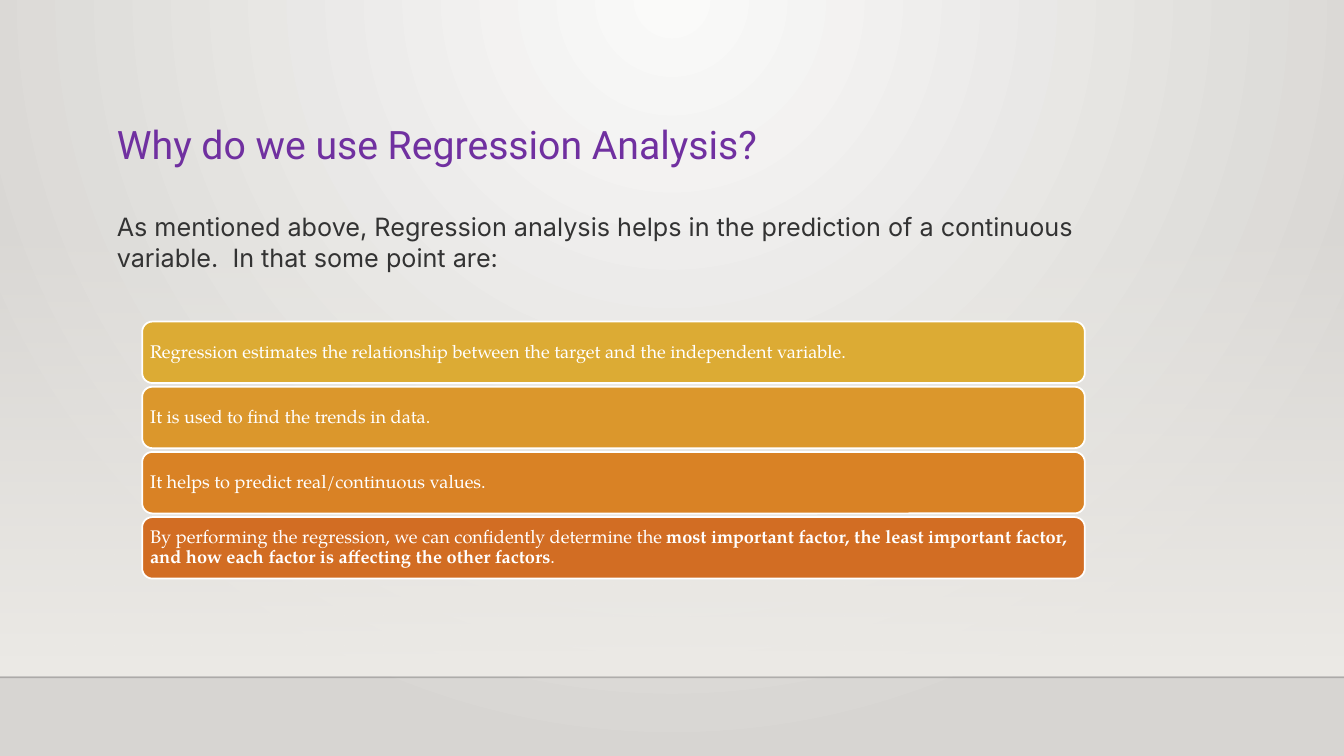
from dataclasses import dataclass

from lxml.etree import SubElement
from pptx import Presentation
from pptx.dml.color import RGBColor
from pptx.enum.shapes import MSO_CONNECTOR, MSO_SHAPE
from pptx.enum.text import MSO_ANCHOR, MSO_AUTO_SIZE, PP_ALIGN
from pptx.oxml.ns import qn
from pptx.util import Inches, Pt


@dataclass(frozen=True)
class Theme:
    title_font: str = "Roboto"
    intro_font: str = "Inter"
    reason_font: str = "TeX Gyre Pagella"
    title_size: int = 28
    intro_size: int = 18
    reason_size: int = 13
    title_color: str = "7030A0"
    intro_color: str = "333333"
    white: str = "FFFFFF"
    glow: tuple = ("FAFAF9", "D7D5D2")
    wash: str = "EDEBE7"
    floor_line: str = "000001"
    reason_fills: tuple = ("DCAB34", "DB972C", "D98225", "D26D23")


class SlideBuilder:
    def __init__(self, slide, theme):
        self.slide = slide
        self.theme = theme

    def gradient(self, fill, colors):
        fill.gradient()
        for stop, color in zip(fill.gradient_stops, colors):
            stop.color.rgb = RGBColor.from_string(color)

    def set_alpha(self, element, percent):
        color = element.find(".//" + qn("a:srgbClr"))
        SubElement(color, qn("a:alpha")).set("val", str(percent * 1000))

    def backdrop(self):
        self.gradient(self.slide.background.fill, self.theme.glow)
        glow = self.slide.element.find(".//" + qn("a:gradFill"))
        glow.remove(glow.find(qn("a:lin")))
        circle = SubElement(glow, qn("a:path"))
        circle.set("path", "circle")
        center = SubElement(circle, qn("a:fillToRect"))
        for side, percent in zip("ltrb", (43, 0, 43, 100)):
            center.set(side, str(percent * 1000))

    def wash(self, left, top, width, height):
        wash = self.slide.shapes.add_shape(
            MSO_SHAPE.RECTANGLE, Inches(left), Inches(top), Inches(width), Inches(height))
        wash.shadow.inherit = False
        self.gradient(wash.fill, (self.theme.wash, self.theme.wash))
        wash.fill.gradient_angle = 270
        self.set_alpha(wash.element.spPr, 0)
        wash.line.fill.background()

    def floor_line(self, top, width):
        floor = self.slide.shapes.add_connector(
            MSO_CONNECTOR.STRAIGHT, 0, Inches(top), Inches(width), Inches(top))
        floor.line.width = Pt(1)
        floor.line.color.rgb = RGBColor.from_string(self.theme.floor_line)
        self.set_alpha(floor.element.spPr, 20)
        SubElement(floor.element.spPr, qn("a:effectLst"))

    def add_runs(self, frame, runs, font, size, color, align=PP_ALIGN.LEFT):
        frame.word_wrap = True
        paragraph = frame.paragraphs[0]
        paragraph.alignment = align
        for words, bold in runs:
            run = paragraph.add_run()
            run.text = words
            run.font.name = font
            run.font.size = Pt(size)
            run.font.bold = bold
            run.font.color.rgb = RGBColor.from_string(color)
        return paragraph

    def title(self, words, left, top, width, height):
        title = self.slide.shapes.title
        title.left, title.top = Inches(left), Inches(top)
        title.width, title.height = Inches(width), Inches(height)
        title.text_frame.vertical_anchor = MSO_ANCHOR.TOP
        title.text_frame.auto_size = MSO_AUTO_SIZE.SHAPE_TO_FIT_TEXT
        self.add_runs(title.text_frame, [(words, False)], self.theme.title_font,
                      self.theme.title_size, self.theme.title_color, PP_ALIGN.JUSTIFY)

    def intro(self, words, left, top, width, height):
        intro = self.slide.shapes.add_textbox(
            Inches(left), Inches(top), Inches(width), Inches(height))
        intro.text_frame.auto_size = MSO_AUTO_SIZE.SHAPE_TO_FIT_TEXT
        self.add_runs(intro.text_frame, [(words, False)], self.theme.intro_font,
                      self.theme.intro_size, self.theme.intro_color)

    def reason(self, runs, fill, left, top, width, height):
        reason = self.slide.shapes.add_shape(
            MSO_SHAPE.ROUNDED_RECTANGLE,
            Inches(left), Inches(top), Inches(width), Inches(height))
        reason.shadow.inherit = False
        reason.fill.solid()
        reason.fill.fore_color.rgb = RGBColor.from_string(fill)
        reason.line.color.rgb = RGBColor.from_string(self.theme.white)
        reason.line.width = Pt(1.25)
        frame = reason.text_frame
        frame.vertical_anchor = MSO_ANCHOR.MIDDLE
        frame.margin_left = frame.margin_right = Inches(0.05)
        frame.margin_top = frame.margin_bottom = Inches(0.05)
        paragraph = self.add_runs(frame, runs, self.theme.reason_font,
                                  self.theme.reason_size, self.theme.white)
        paragraph.line_spacing = 0.9


REASONS = [
    [("Regression estimates the relationship between the target and the independent variable.", False)],
    [("It is used to find the trends in data.", False)],
    [("It helps to predict real/continuous values.", False)],
    [("By performing the regression, we can confidently determine the ", False),
     ("most important factor, the least important factor, "
      "and how each factor is affecting the other factors", True),
     (".", False)],
]


def main():
    presentation = Presentation()
    presentation.slide_width = Inches(13.33)
    presentation.slide_height = Inches(7.5)
    theme = Theme()
    builder = SlideBuilder(
        presentation.slides.add_slide(presentation.slide_layouts[5]), theme)
    builder.backdrop()
    builder.wash(0, 2.2, 13.33, 4.5)
    builder.floor_line(6.72, 13.33)
    builder.intro("As mentioned above, Regression analysis helps in the prediction "
                  "of a continuous variable.  In that some point are:",
                  1.06, 2.05, 9.69, 0.71)
    builder.title("Why do we use Regression Analysis?", 1.06, 1.14, 7.12, 0.57)
    first_top, last_top = 3.19, 5.13
    pitch = (last_top - first_top) / (len(REASONS) - 1)
    for index, (runs, fill) in enumerate(zip(REASONS, theme.reason_fills)):
        builder.reason(runs, fill, 1.41, first_top + index * pitch, 9.35, 0.61)
    presentation.save("out.pptx")


if __name__ == "__main__":
    main()
